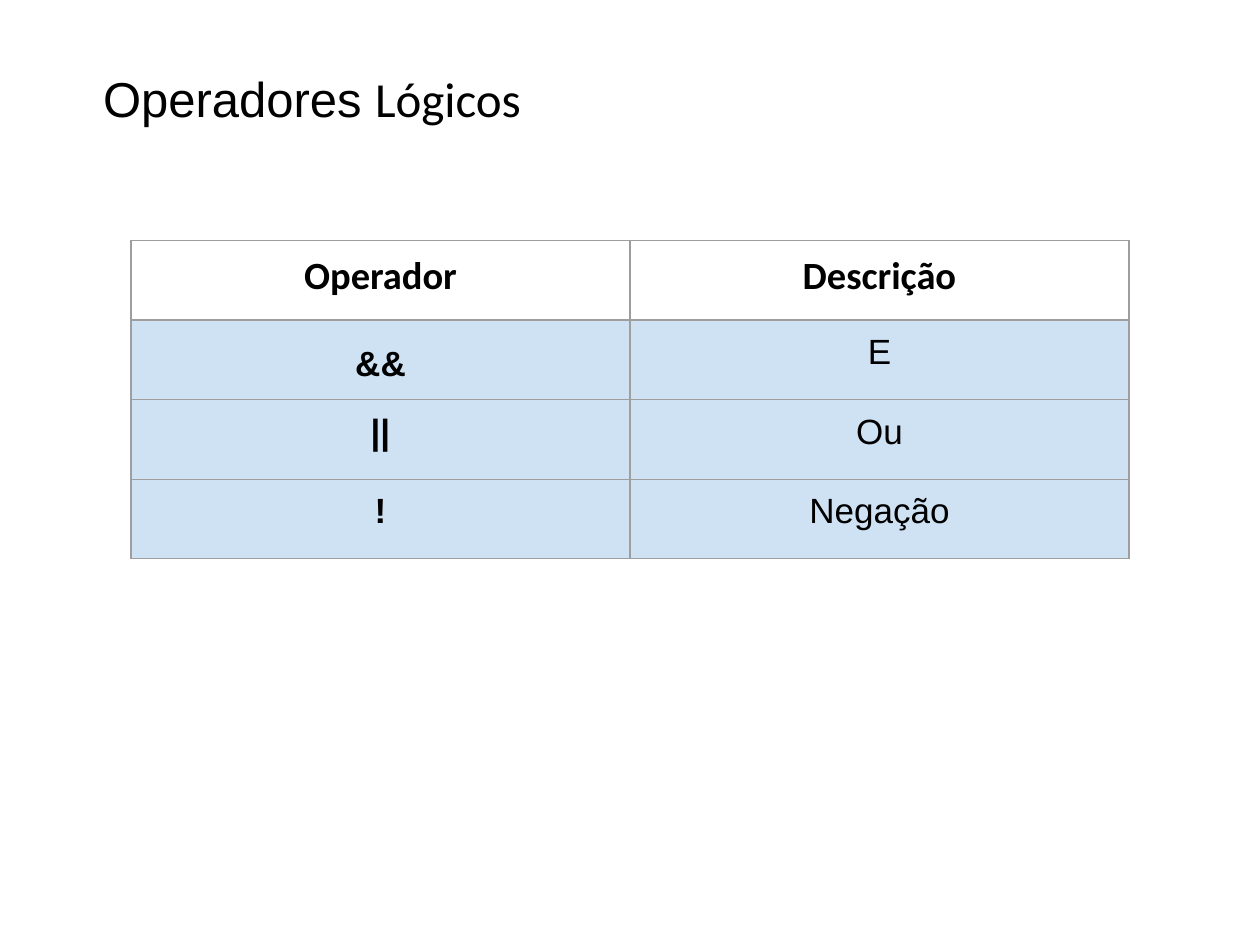
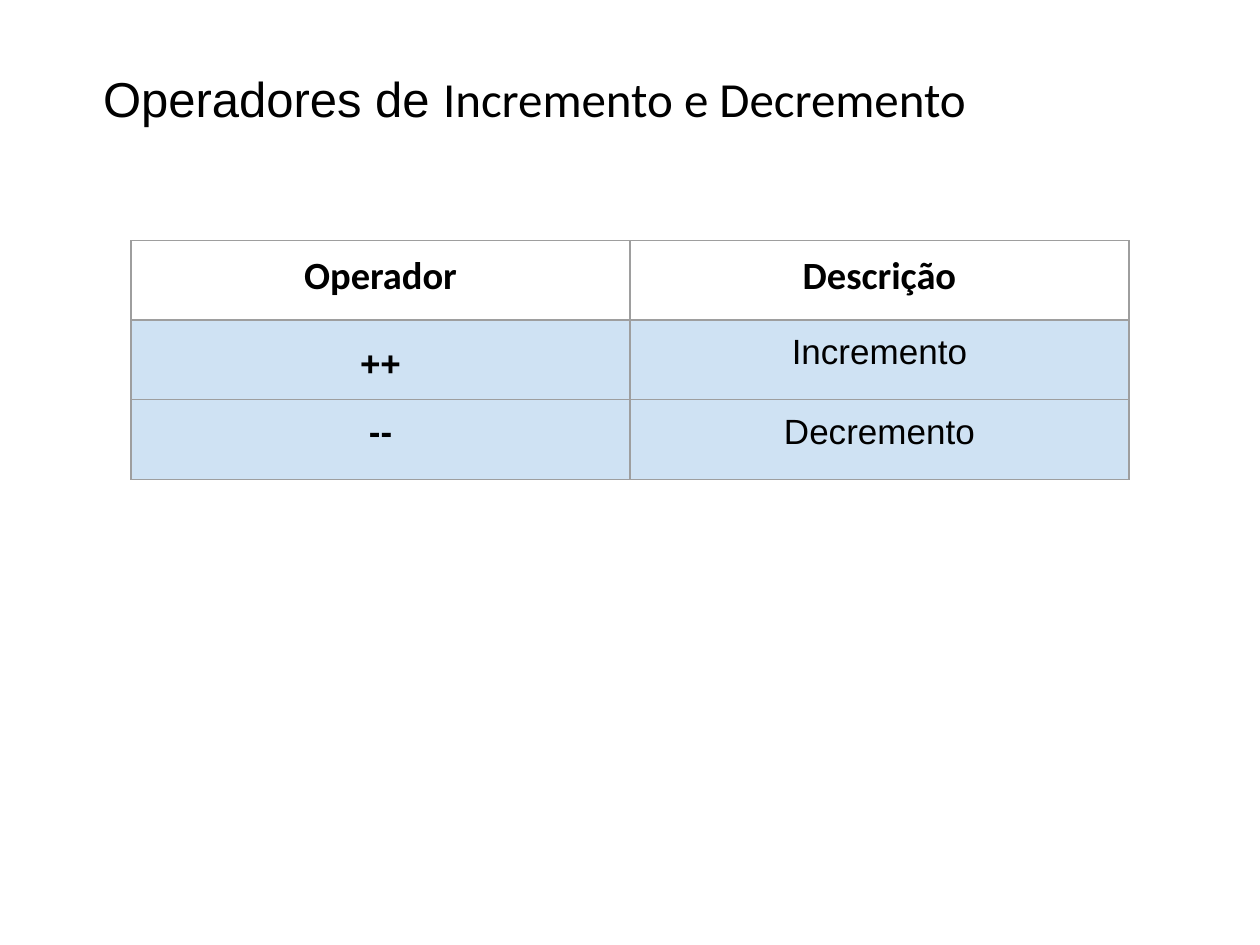
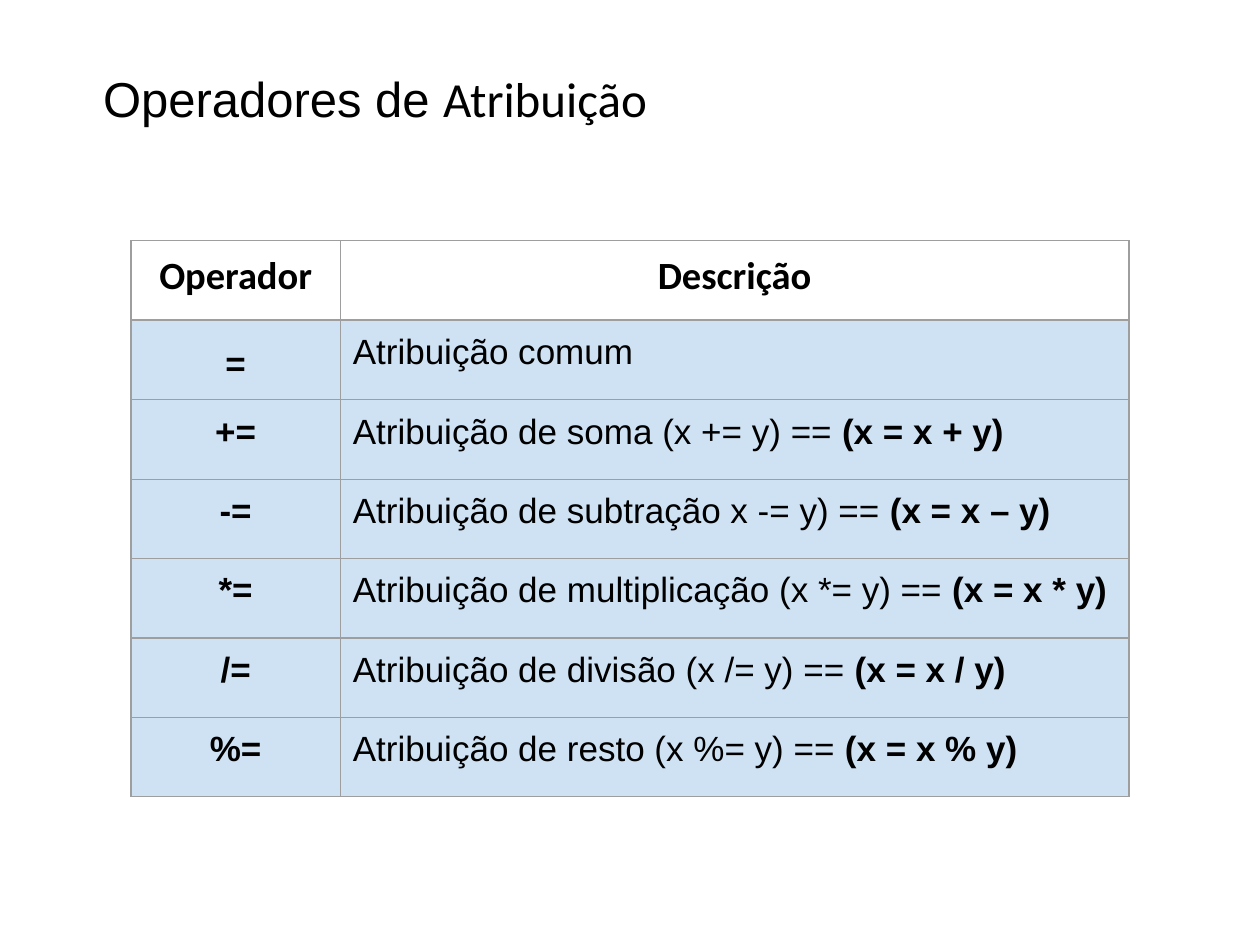
from dataclasses import dataclass

from lxml.etree import SubElement
from pptx import Presentation
from pptx.dml.color import RGBColor
from pptx.enum.text import MSO_ANCHOR as Anchor, PP_ALIGN as Align
from pptx.oxml.ns import qn
from pptx.slide import Slide
from pptx.table import _Cell as Cell
from pptx.text.text import _Paragraph as Para
from pptx.util import Inches, Pt

COLORS = {"text": "000000", "page": "FFFFFF", "row": "CFE2F3", "edge": "9E9E9E"}
BODY, ACCENT = "Arial", "Calibri"
HEADS = ("Operador", "Descrição")
PAD = Inches(0.1)
ROW = Inches(0.63)


@dataclass
class Entry:
    sign: str
    text: str
    result: str = ""


@dataclass
class Topic:
    lead: str
    name: str
    widths: tuple[float, float]
    align: Align
    entries: list[Entry]


TOPICS = [
    Topic("Operadores ", "Lógicos", (3.96, 3.96), Align.CENTER, [
        Entry("&&", "E"),
        Entry("||", "Ou"),
        Entry("!", "Negação"),
    ]),
    Topic("Operadores de ", "Incremento e Decremento", (3.96, 3.96), Align.CENTER, [
        Entry("++", "Incremento"),
        Entry("--", "Decremento"),
    ]),
    Topic("Operadores de ", "Atribuição", (1.66, 6.26), Align.LEFT, [
        Entry("=", "Atribuição comum"),
        Entry("+=", "Atribuição de soma (x += y) == ", "(x = x + y)"),
        Entry("-=", "Atribuição de subtração x -= y) == ", "(x = x – y)"),
        Entry("*=", "Atribuição de multiplicação (x *= y) == ", "(x = x * y)"),
        Entry("/=", "Atribuição de divisão (x /= y) == ", "(x = x / y)"),
        Entry("%=", "Atribuição de resto (x %= y) == ", "(x = x % y)"),
    ]),
]


def add_text(para: Para, text: str, size: int, font: str = BODY, bold: bool = False) -> None:
    run = para.add_run()
    run.text = text
    run.font.size = Pt(size)
    run.font.name = font
    run.font.bold = bold
    run.font.color.rgb = RGBColor.from_string(COLORS["text"])


def add_title(slide: Slide, topic: Topic) -> None:
    box = slide.shapes.add_textbox(Inches(0.72), Inches(0.18), Inches(8.84), Inches(1.2))
    frame = box.text_frame
    frame.word_wrap = True
    frame.vertical_anchor = Anchor.MIDDLE
    para = frame.paragraphs[0]
    add_text(para, topic.lead, 28)
    add_text(para, topic.name, 28, ACCENT)


def style_cell(cell: Cell, color: str, align: Align = Align.CENTER) -> Para:
    """Set fill, margins and borders; return the paragraph to write in."""
    cell.fill.solid()
    cell.fill.fore_color.rgb = RGBColor.from_string(COLORS[color])
    cell.margin_left = cell.margin_right = PAD
    cell.margin_top = cell.margin_bottom = PAD
    # Borders come before the fill in the cell properties
    props = cell._tc.get_or_add_tcPr()
    for spot, side in enumerate(("lnL", "lnR", "lnT", "lnB")):
        line = SubElement(props, qn(f"a:{side}"), w=str(Pt(0.75)))
        SubElement(SubElement(line, qn("a:solidFill")), qn("a:srgbClr"), val=COLORS["edge"])
        props.insert(spot, line)
    para = cell.text_frame.paragraphs[0]
    para.alignment = align
    return para


def add_grid(slide: Slide, topic: Topic) -> None:
    count = len(topic.entries) + 1
    table = slide.shapes.add_table(count, len(HEADS), Inches(1.04), Inches(1.91),
                                   Inches(sum(topic.widths)), ROW * count).table
    table.first_row = table.horz_banding = False
    for col, width in zip(table.columns, topic.widths):
        col.width = Inches(width)
    for row in table.rows:
        row.height = ROW

    # Header row
    for col, head in enumerate(HEADS):
        add_text(style_cell(table.cell(0, col), "page"), head, 22, ACCENT, True)

    # Operator rows
    for row, entry in enumerate(topic.entries, 1):
        sign = style_cell(table.cell(row, 0), "row")
        add_text(sign, entry.sign, 20, bold=True)
        if row == 1:
            sign.line_spacing = 1.3
        note = style_cell(table.cell(row, 1), "row", topic.align)
        add_text(note, entry.text, 20)
        if entry.result:
            add_text(note, entry.result, 20, bold=True)


def main() -> None:
    deck = Presentation()
    deck.slide_width, deck.slide_height = Inches(10), Inches(7.5)
    for topic in TOPICS:
        slide = deck.slides.add_slide(deck.slide_layouts[6])
        add_title(slide, topic)
        add_grid(slide, topic)
    deck.save("out.pptx")


if __name__ == "__main__":
    main()
